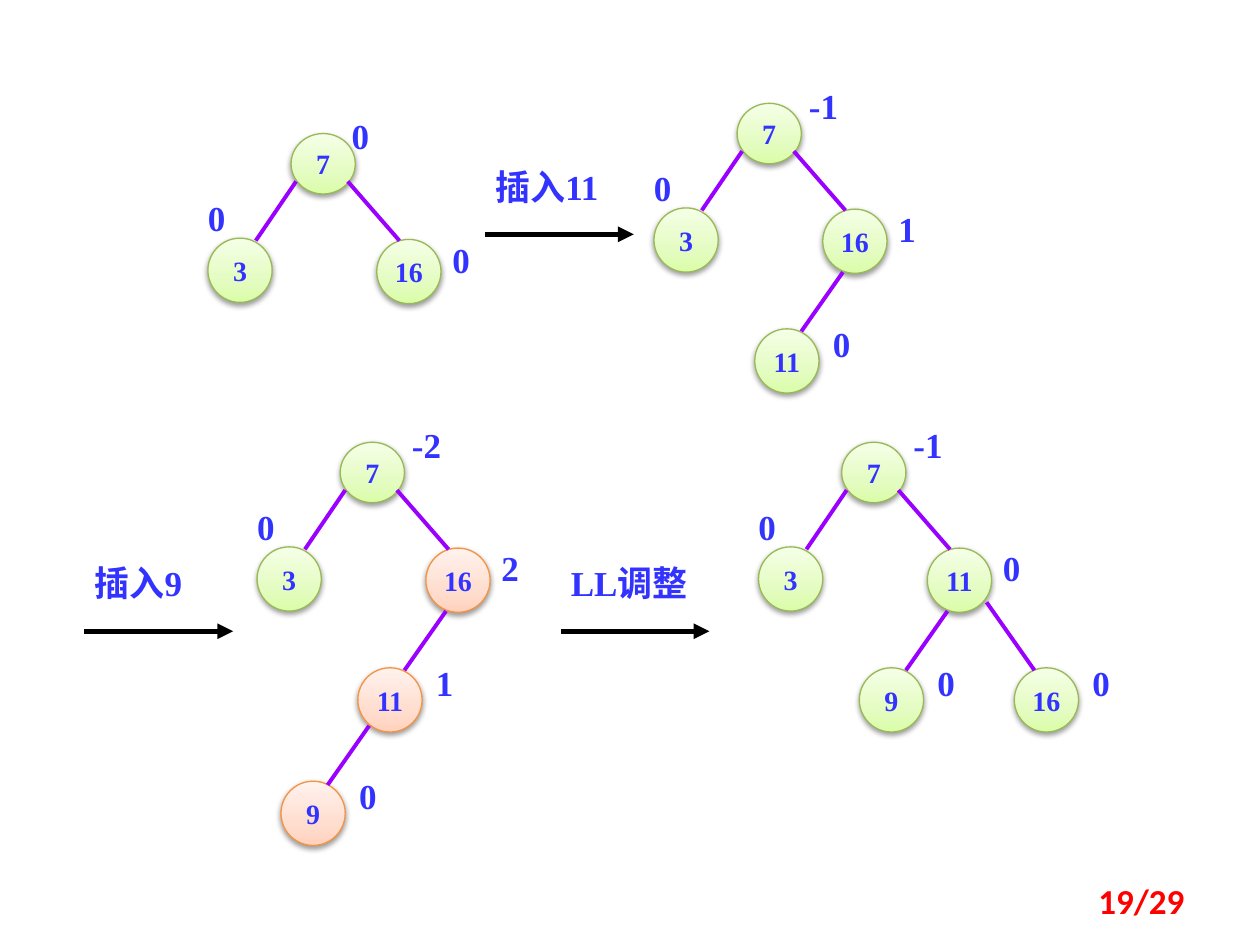
import pptx
import pptx.dml.color
import pptx.enum.dml
import pptx.enum.shapes
import pptx.enum.text
import pptx.oxml
import pptx.oxml.ns
import pptx.util
import lxml.etree

# All lengths are cells of a grid with 100 columns and 75 rows.
CELL = pptx.util.Inches(10) / 100
NODE = 5.1
LABEL_HEIGHT = 3.3
BLUE, PURPLE, BLACK, RED = "3333FF", "9900FF", "000000", "FF0000"
GREEN = ("98B955", ("DAFDA7", "E4FCC2", "F5FFE7"))
ORANGE = ("F69240", ("FFD2BD", "FFDED0", "FFF2ED"))
STOPS = (0, 35000, 100000)

# Slot of a node in a tree: column, row, height, balance label column, row
SLOTS = {
    "root": (6.6, 0, 4.8, 5.7, -1.5),
    "left": (0, 8.3, NODE, 0, -3.3),
    "right": (13.4, 8.4, NODE, 6, -0.1),
    "inner": (8, 17.9, NODE, 6.2, -0.5),
    "outer": (20.3, 17.9, NODE, 6.2, -0.5),
    "lowest": (1.9, 26.9, NODE, 6.2, -0.5),
}
# Edge from the parent down to a slot: start column, row, end column, row
EDGES = {
    "left": (7, 3.8, 3.8, 8.5),
    "right": (11.1, 3.8, 15.2, 8.5),
    "inner": (15, 13.4, 11.7, 18.1),
    "outer": (18.1, 12.7, 21.9, 18.1),
    "lowest": (8.9, 22.5, 5.6, 27.2),
}


def cells(*values):
    return [pptx.util.Emu(round(value * CELL)) for value in values]


def color(value):
    return pptx.dml.color.RGBColor.from_string(value)


def child(parent, tag, **attributes):
    element = lxml.etree.SubElement(parent, pptx.oxml.ns.qn(tag))
    for name, value in attributes.items():
        element.set(name, str(value))
    return element


def write(shape, text, size, font="Times New Roman", ink=BLUE, align="LEFT", margin=0):
    frame = shape.text_frame
    frame.text = text
    frame.word_wrap = True
    frame.margin_left = frame.margin_right = pptx.util.Inches(margin)
    frame.margin_top = frame.margin_bottom = pptx.util.Inches(margin / 2)
    paragraph = frame.paragraphs[0]
    paragraph.alignment = getattr(pptx.enum.text.PP_ALIGN, align)
    for run in paragraph.runs:
        run.font.name = font
        run.font.size = pptx.util.Pt(size)
        run.font.bold = True
        run.font.color.rgb = color(ink)
    return frame


def add_label(slide, left, top, width, text):
    box = slide.shapes.add_textbox(*cells(left, top, width, LABEL_HEIGHT))
    write(box, text, 20)


def add_line(slide, start, end, ink, weight):
    line = slide.shapes.add_connector(
        pptx.enum.shapes.MSO_CONNECTOR.STRAIGHT, *cells(*start, *end))
    line.line.color.rgb = color(ink)
    line.line.width = pptx.util.Pt(weight)
    child(line.element.spPr, "a:effectLst")
    return line


def add_node(slide, left, top, height, key, palette):
    outline, shades = palette
    node = slide.shapes.add_shape(
        pptx.enum.shapes.MSO_SHAPE.OVAL, *cells(left, top, NODE, height))
    node.fill.gradient()
    properties = node.element.spPr
    gradient = properties.find(pptx.oxml.ns.qn("a:gradFill"))
    for part in list(gradient):
        gradient.remove(part)
    stops = child(gradient, "a:gsLst")
    for position, shade in zip(STOPS, shades):
        child(child(stops, "a:gs", pos=position), "a:srgbClr", val=shade)
    child(gradient, "a:lin", ang=270 * 60000, scaled=0)
    node.line.color.rgb = color(outline)
    node.line.width = pptx.util.Pt(0.75)
    node.shadow.inherit = False
    effects = properties.find(pptx.oxml.ns.qn("a:effectLst"))
    shadow = child(effects, "a:outerShdw", blurRad=pptx.util.Pt(3.1),
                   dist=pptx.util.Pt(1.6), dir=90 * 60000, rotWithShape=0)
    child(child(shadow, "a:srgbClr", val=BLACK), "a:alpha", val=38000)
    frame = write(node, key, 16, align="CENTER")
    frame.vertical_anchor = pptx.enum.text.MSO_ANCHOR.MIDDLE


def add_tree(slide, left, top, nodes, highlighted=(), root_label=None):
    """Draw a tree; nodes maps each slot to its key and balance factor."""
    for slot, (key, balance) in nodes.items():
        column, row, height, label_column, label_row = SLOTS[slot]
        if slot == "root" and root_label is not None:
            label_column = root_label
        x, y = left + column, top + row
        add_node(slide, x, y, height, key, ORANGE if slot in highlighted else GREEN)
        add_label(slide, x + label_column, y + label_row, 3, balance)
        if slot in EDGES:
            x1, y1, x2, y2 = EDGES[slot]
            add_line(slide, (left + x1, top + y1), (left + x2, top + y2), PURPLE, 2.25)


def add_step(slide, left, top, text):
    """Draw a step arrow with its caption above it."""
    arrow = add_line(slide, (left, top + 5.5), (left + 11.8, top + 5.5), BLACK, 3)
    child(arrow.line._get_or_add_ln(), "a:tailEnd", type="triangle")
    add_label(slide, left + 0.8, top, 10.2, text)


def add_page_number(slide, left, top, width, height, text):
    box = slide.shapes.add_textbox(*cells(left, top, width, height))
    frame = write(box, text, 20, "Calibri", RED, "RIGHT", 0.1)
    frame.vertical_anchor = pptx.enum.text.MSO_ANCHOR.MIDDLE


def main():
    presentation = pptx.Presentation()
    presentation.slide_width, presentation.slide_height = cells(100, 75)
    slide = presentation.slides.add_slide(presentation.slide_layouts[6])

    leaf = ("3", "0")
    add_tree(slide, 16.5, 10.6, {
        "root": ("7", "0"), "left": leaf, "right": ("16", "0")}, root_label=4.8)
    add_step(slide, 38.5, 13.1, "插入11")
    add_tree(slide, 51.9, 8.2, {
        "root": ("7", "-1"), "left": leaf, "right": ("16", "1"), "inner": ("11", "0")})
    add_step(slide, 6.7, 44.6, "插入9")
    add_tree(slide, 20.4, 35.1, {
        "root": ("7", "-2"), "left": leaf, "right": ("16", "2"),
        "inner": ("11", "1"), "lowest": ("9", "0")},
        highlighted=("right", "inner", "lowest"))
    add_step(slide, 44.5, 44.6, "LL调整")
    add_tree(slide, 60.2, 35.1, {
        "root": ("7", "-1"), "left": leaf, "right": ("11", "0"),
        "inner": ("9", "0"), "outer": ("16", "0")})
    add_page_number(slide, 71.7, 69.5, 23.3, 4, "19/29")

    presentation.save("out.pptx")


if __name__ == "__main__":
    main()
